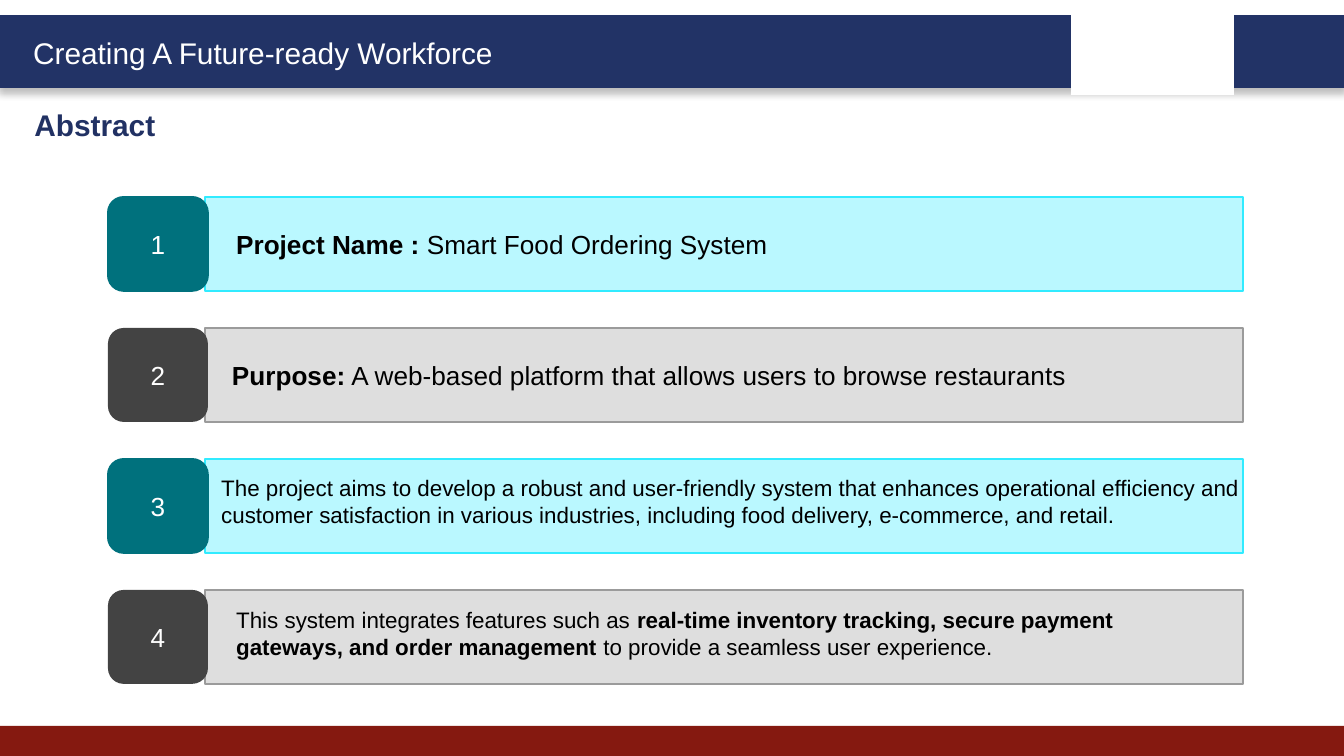
from dataclasses import dataclass

from lxml.etree import SubElement
from pptx import Presentation
from pptx.dml.color import RGBColor
from pptx.enum.shapes import MSO_SHAPE
from pptx.enum.text import MSO_ANCHOR, MSO_AUTO_SIZE, PP_ALIGN
from pptx.oxml.ns import qn
from pptx.util import Emu, Pt

EMU_PER_PX = 9144000 / 1344


@dataclass(frozen=True)
class Theme:
    font: str = "Arial"
    navy: str = "223366"
    heading: str = "213163"
    maroon: str = "851910"
    white: str = "FFFFFF"
    black: str = "000000"
    teal: str = "00717D"
    aqua: str = "BAF8FF"
    aqua_line: str = "31EBFF"
    charcoal: str = "434343"
    silver: str = "DEDEDE"
    silver_line: str = "9B9B9B"
    title_size: int = 16
    label_size: int = 14
    body_size: int = 12


def px(length):
    return Emu(round(length * EMU_PER_PX))


class SlideBuilder:
    """Draws themed elements on one slide, with lengths in px."""

    def __init__(self, slide, theme):
        self.slide = slide
        self.theme = theme

    def set_text(self, shape, runs, size, color, align=PP_ALIGN.LEFT, anchor=MSO_ANCHOR.TOP):
        frame = shape.text_frame
        frame.word_wrap = True
        frame.auto_size = MSO_AUTO_SIZE.NONE
        frame.vertical_anchor = anchor
        paragraph = frame.paragraphs[0]
        paragraph.alignment = align
        paragraph.font.name = self.theme.font
        paragraph.font.size = Pt(size)
        paragraph.font.color.rgb = RGBColor.from_string(color)
        for text, bold in runs:
            run = paragraph.add_run()
            run.text = text
            run.font.bold = bold

    def title(self, box, text):
        title = self.slide.shapes.title
        title.left, title.top, title.width, title.height = map(px, box)
        self.set_text(title, [(text, True)], self.theme.title_size, self.theme.heading)

    def text(self, box, runs, size, color):
        self.set_text(self.slide.shapes.add_textbox(*map(px, box)), runs, size, color)

    def block(self, box, fill, line=None, line_width=1, kind=MSO_SHAPE.RECTANGLE):
        shape = self.slide.shapes.add_shape(kind, *map(px, box))
        shape.shadow.inherit = False
        shape.fill.solid()
        shape.fill.fore_color.rgb = RGBColor.from_string(fill)
        if line:
            shape.line.color.rgb = RGBColor.from_string(line)
            shape.line.width = Pt(line_width)
        else:
            shape.line.fill.background()
        return shape

    def badge(self, box, number, fill, line):
        shape = self.block(box, fill, line, kind=MSO_SHAPE.ROUNDED_RECTANGLE)
        self.set_text(shape, [(str(number), False)], self.theme.label_size,
                      self.theme.white, PP_ALIGN.CENTER, MSO_ANCHOR.MIDDLE)

    def drop_shadow(self, shape):
        effects = shape._element.spPr.find(qn("a:effectLst"))
        shadow = SubElement(effects, qn("a:outerShdw"), blurRad=str(Pt(4)),
                            dist=str(Pt(3)), dir="5400000", rotWithShape="0")
        color = SubElement(shadow, qn("a:srgbClr"), val=self.theme.black)
        SubElement(color, qn("a:alpha"), val="25000")


def main():
    theme = Theme()
    presentation = Presentation()
    presentation.slide_width, presentation.slide_height = px(1344), px(756)
    slide = presentation.slides.add_slide(presentation.slide_layouts[5])
    builder = SlideBuilder(slide, theme)

    header = builder.block((0, 17, 1344, 69), theme.navy, theme.navy, 2)
    builder.drop_shadow(header)
    builder.block((0, 726, 1344, 30), theme.maroon)
    builder.block((1071, 9, 163, 86), theme.white)
    builder.text((20, 28, 508, 50), [("Creating A Future-ready Workforce", False)],
                 theme.title_size, theme.white)
    builder.title((21, 100, 650, 50), "Abstract")

    aqua_style = (theme.aqua, theme.aqua_line, theme.teal, theme.teal)
    silver_style = (theme.silver, theme.silver_line, theme.charcoal, None)
    bars = []
    for index in range(4):
        top = 197 + 131 * index
        fill, line, badge_fill, badge_line = (aqua_style, silver_style)[index % 2]
        bars.append(builder.block((205, top, 1038, 94), fill, line))
        builder.badge((108, top, 100, 94), index + 1, badge_fill, badge_line)

    builder.text((223, 222, 683, 46),
                 [("Project Name : ", True), ("Smart Food Ordering System", False)],
                 theme.label_size, theme.black)
    bars[1].text_frame.margin_left = px(27)
    builder.set_text(bars[1], [
        ("Purpose:", True),
        (" A web-based platform that allows users to browse restaurants", False),
    ], theme.label_size, theme.black, anchor=MSO_ANCHOR.MIDDLE)
    builder.text((208, 468, 1068, 68), [
        ("The project aims to develop a robust and user-friendly system that enhances "
         "operational efficiency and customer satisfaction in various industries, "
         "including food delivery, e-commerce, and retail.", False),
    ], theme.body_size, theme.black)
    builder.text((223, 600, 1012, 68), [
        ("This system integrates features such as ", False),
        ("real-time inventory tracking, secure payment gateways, and order management", True),
        (" to provide a seamless user experience.", False),
    ], theme.body_size, theme.black)

    presentation.save("out.pptx")


if __name__ == "__main__":
    main()
